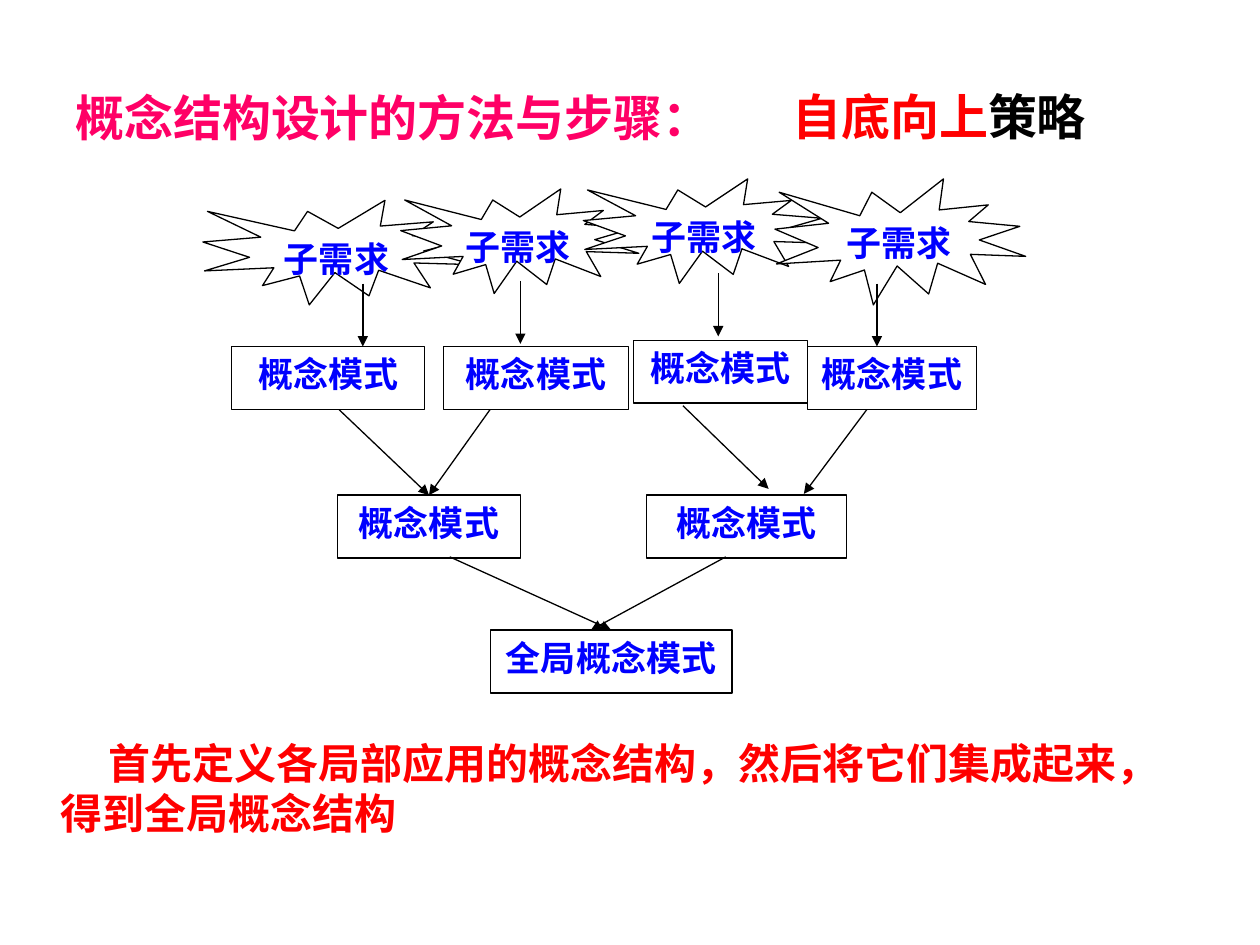
import pptx
import pptx.dml.color
import pptx.enum.shapes
import pptx.enum.text
import pptx.oxml.ns
import pptx.util
from lxml import etree

COLORS = {"pink": "FF0066", "red": "FF0000", "blue": "0000FF",
          "black": "000000", "white": "FFFFFF"}
CJK_FONT = "Noto Sans CJK SC"
COLUMNS, ROWS = 100, 75
SHAPES = pptx.enum.shapes.MSO_SHAPE
TOP, BOTTOM = 0, 2


def rgb(name):
    return pptx.dml.color.RGBColor.from_string(COLORS[name])


def add_tag(parent, tag, **attributes):
    return etree.SubElement(parent, pptx.oxml.ns.qn(tag), attributes)


class Diagram:
    """Draws on one slide; lengths are columns and rows of the grid."""

    def __init__(self, deck):
        self.cell_width = deck.slide_width / COLUMNS
        self.cell_height = deck.slide_height / ROWS
        self.page = deck.slides.add_slide(deck.slide_layouts[6])

    def place(self, column, row):
        return round(column * self.cell_width), round(row * self.cell_height)

    def style(self, para, size, color, font=CJK_FONT):
        para.font.size = pptx.util.Pt(size)
        para.font.bold = True
        para.font.name = font
        para.font.color.rgb = rgb(color)
        defaults = para._p.get_or_add_pPr().find(pptx.oxml.ns.qn("a:defRPr"))
        add_tag(defaults, "a:ea", typeface=CJK_FONT)

    def text(self, area, spans, size, font=CJK_FONT, first_line=0, left=0, middle=False):
        """Add a text box; spans are (words, colour) pairs."""
        box = self.page.shapes.add_textbox(*self.place(*area[:2]), *self.place(*area[2:]))
        frame = box.text_frame
        frame.word_wrap = True
        if middle:
            frame.vertical_anchor = pptx.enum.text.MSO_ANCHOR.MIDDLE
        para = frame.paragraphs[0]
        self.style(para, size, spans[0][1], font)
        for words, color in spans:
            span = para.add_run()
            span.text = words
            if color != spans[0][1]:
                span.font.color.rgb = rgb(color)
        properties = para._p.get_or_add_pPr()
        properties.set("marL", str(self.place(left, 0)[0]))
        properties.set("indent", str(self.place(first_line, 0)[0]))
        return para

    def node(self, kind, area, words):
        shape = self.page.shapes.add_shape(kind, *self.place(*area[:2]), *self.place(*area[2:]))
        shape.shadow.inherit = False
        shape.fill.solid()
        shape.fill.fore_color.rgb = rgb("white")
        shape.line.color.rgb = rgb("black")
        shape.line.width = pptx.util.Pt(0.75)
        frame = shape.text_frame
        frame.word_wrap = True
        frame.vertical_anchor = pptx.enum.text.MSO_ANCHOR.TOP
        para = frame.paragraphs[0]
        para.text = words
        para.alignment = pptx.enum.text.PP_ALIGN.CENTER
        self.style(para, 20, "blue")
        return shape

    def arrow(self, start, end, target=None):
        """Add an arrow; with a target it ends at the middle of its top."""
        line = self.page.shapes.add_connector(
            pptx.enum.shapes.MSO_CONNECTOR.STRAIGHT, *self.place(*start), *self.place(*end))
        if target is not None:
            line.end_connect(target, TOP)
        line.line.color.rgb = rgb("black")
        line.line.width = pptx.util.Pt(0.75)
        add_tag(line.line._get_or_add_ln(), "a:tailEnd", type="triangle")
        add_tag(line._element.spPr, "a:effectLst")


def main():
    deck = pptx.Presentation()
    deck.slide_width = pptx.util.Inches(10)
    deck.slide_height = pptx.util.Inches(7.5)
    diagram = Diagram(deck)

    # Heading
    diagram.text((5, 3, 90, 12.5), [("概念结构设计的方法与步骤：", "pink")], 28,
                 "Calibri", middle=True)
    strategy = diagram.text((56.9, 6.9, 35.6, 5.3), [("自底向上", "red"), ("策略", "black")],
                            28, "Lato", left=5)
    strategy.line_spacing = 0.9
    strategy.space_before = pptx.util.Pt(5.6)

    # Sub-requirements
    for area in [(16.1, 15.9, 21.5, 8.3), (31.8, 15, 18.9, 8.3),
                 (46.3, 14.2, 19.4, 8.3), (61.5, 14.2, 19.9, 10)]:
        diagram.node(SHAPES.EXPLOSION1, area, "子需求")

    # Local schemas, then the merged ones: left, top, width
    for left, top, width in [(18.4, 27.5, 15.3), (35.2, 27.5, 14.7),
                             (50.3, 27, 13.8), (64.1, 27.5, 13.4)]:
        diagram.node(SHAPES.RECTANGLE, (left, top, width, 5), "概念模式")
    merged_left, merged_right = [
        diagram.node(SHAPES.RECTANGLE, (left, 39.3, width, 5), "概念模式")
        for left, width in [(26.8, 14.5), (51.3, 15.9)]]
    overall = diagram.node(SHAPES.RECTANGLE, (38.9, 50, 19.2, 5), "全局概念模式")

    # Arrows from each requirement down to its schema
    for column, row in [(28.8, 22.5), (41.3, 22.3), (57, 21.7), (69.6, 22.5)]:
        diagram.arrow((column, row), (column, row + 5))

    # Arrows that merge the schemas
    for start, end, target in [
            ((26.9, 32.5), (33.7, 39.2), merged_left),
            ((38.9, 32.5), (33.8, 39.2), merged_left),
            ((54.2, 32.2), (61, 38.8), None),
            ((68.8, 32.5), (63.8, 39.2), None),
            ((35.7, 44.2), (48.2, 50), overall),
            ((57.6, 44.2), (46.9, 50), None)]:
        diagram.arrow(start, end, target)

    # Summary
    diagram.text((3.8, 58, 91.9, 9.1),
                 [("首先定义各局部应用的概念结构，然后将它们集成起来，得到全局概念结构", "red")],
                 24, first_line=3.85)

    deck.save("out.pptx")


if __name__ == "__main__":
    main()
